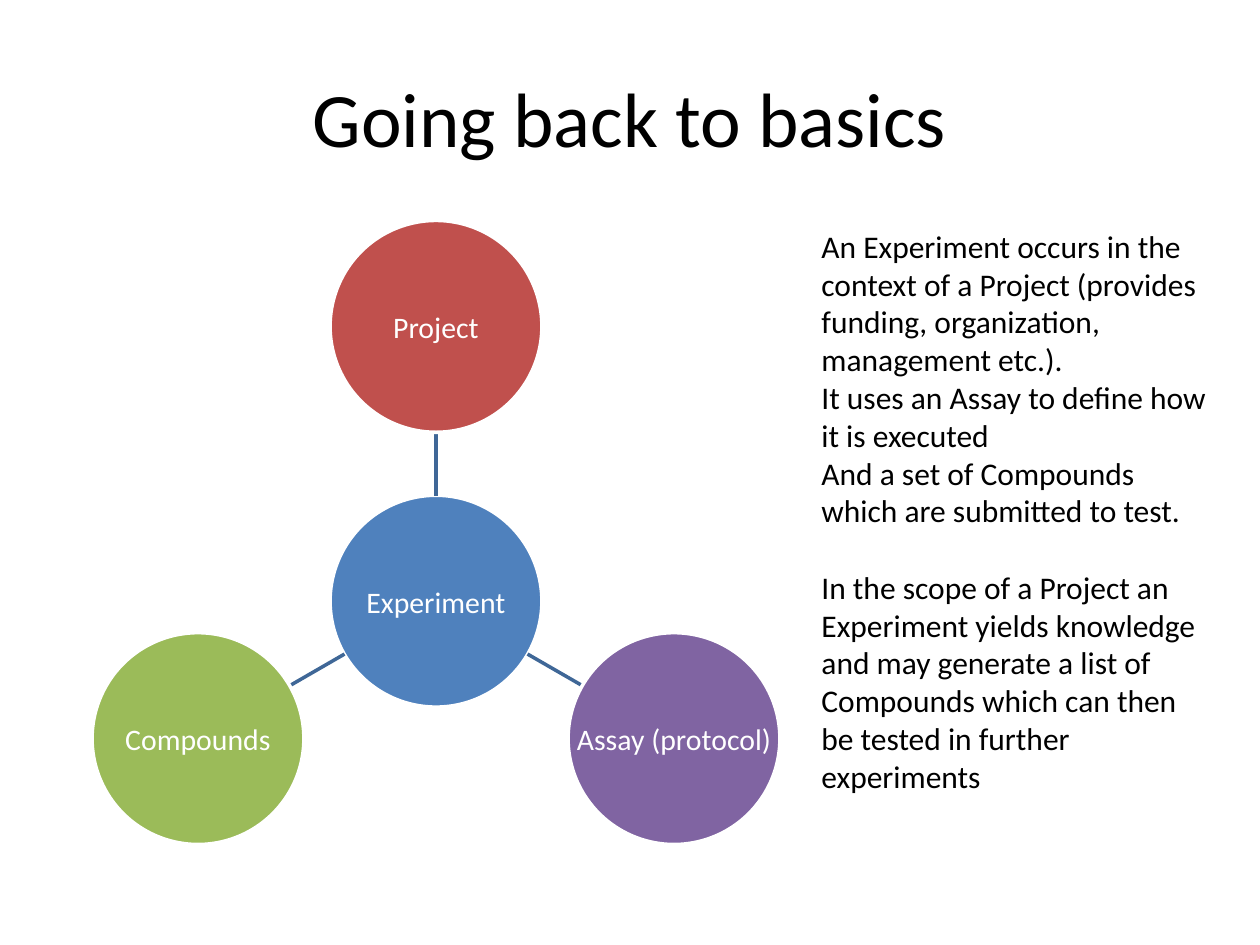
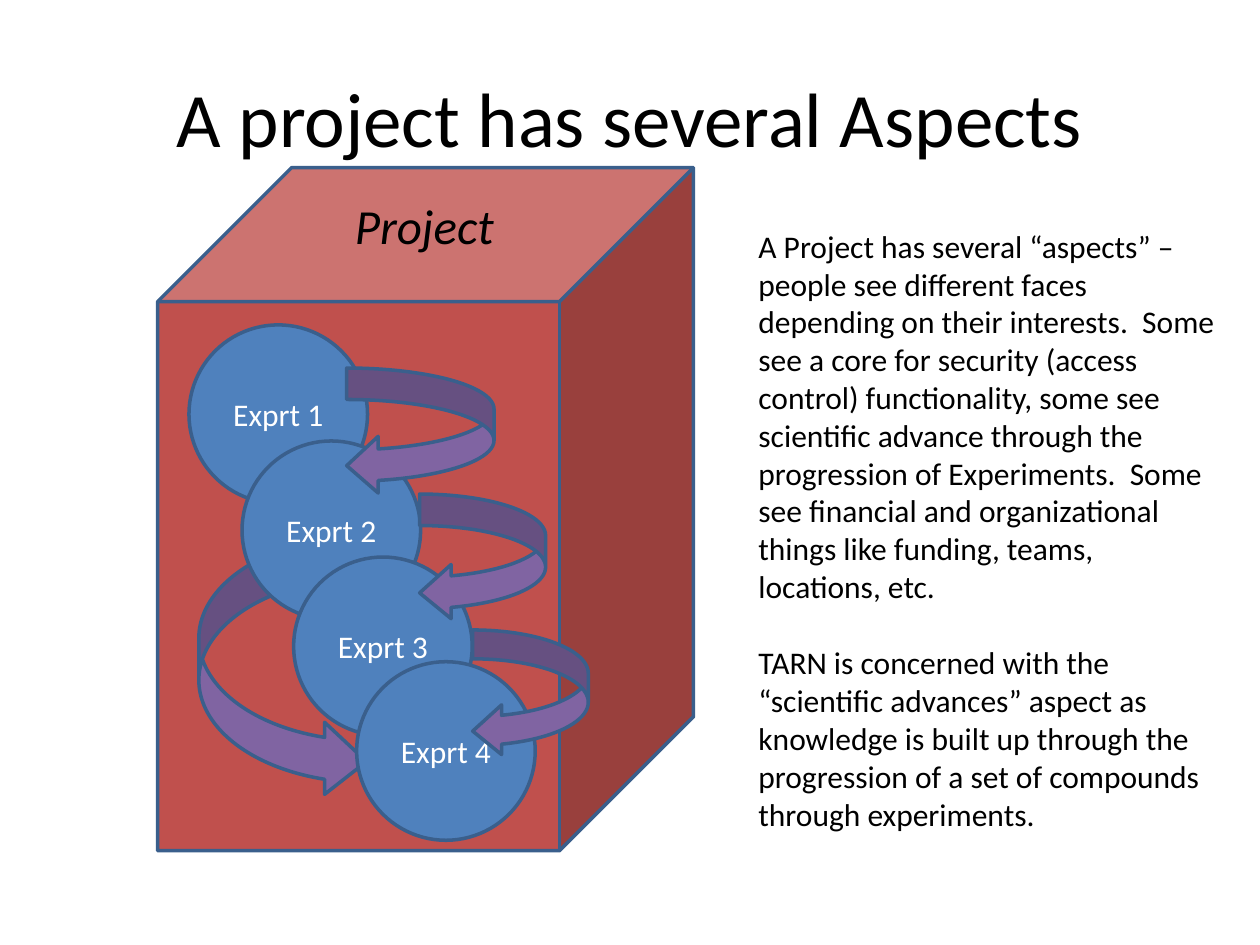
"""Build two slides on how projects, experiments, assays and compounds relate."""
from dataclasses import dataclass
from math import cos, radians, sin

from lxml import etree
from pptx import Presentation, util as u
from pptx.dml.color import RGBColor
from pptx.enum import shapes, text
from pptx.oxml.ns import qn


@dataclass(frozen=True)
class Theme:
    font: str = "Calibri"
    black: str = "000000"
    white: str = "FFFFFF"
    blue: str = "4F81BD"
    red: str = "C0504D"
    green: str = "9BBB59"
    purple: str = "8064A2"
    outline: str = "3A5F8C"
    spoke: str = "3F6797"
    title_size: int = 44
    label_size: int = 28
    body_size: int = 18
    hub_size: int = 17
    line_width: int = 2
    section_gap: int = 22


THEME = Theme()
CENTER, LEFT = text.PP_ALIGN.CENTER, text.PP_ALIGN.LEFT
KIND = shapes.MSO_SHAPE
TITLE_BOX = (1.27, 0.76, 22.86, 3.18)

BASICS_TITLE = "Going back to basics"
BASICS_NOTES = [
    ["An Experiment occurs in the context of a Project (provides funding, organization, management etc.).",
     "It uses an Assay to define how it is executed",
     "And a set of Compounds which are submitted to test."],
    ["In the scope of a Project an Experiment yields knowledge and may generate a list of Compounds "
     "which can then be tested in further experiments"],
]
BASICS_NOTES_BOX = (16.31, 4.45, 8.26, 11.79)
HUB = ("Experiment", THEME.blue)
SATELLITES = [
    ("Project", THEME.red, 90),
    ("Assay (protocol)", THEME.purple, -30),
    ("Compounds", THEME.green, 210),
]
HUB_CENTER = (8.79, 12.12)
HUB_DIAMETER = 4.27
ORBIT = 5.54
SPOKE_START, SPOKE_END = 2.13, 3.4

ASPECTS_TITLE = "A project has several Aspects"
ASPECTS_NOTES = [
    ["A Project has several “aspects” – people see different faces depending on their interests.  "
     "Some see a core for security (access control) functionality, some see scientific advance through "
     "the progression of Experiments.  Some see financial and organizational things like funding, "
     "teams, locations, etc."],
    ["TARN is concerned with the “scientific advances” aspect as knowledge is built up through the "
     "progression of a set of compounds through experiments."],
]
ASPECTS_NOTES_BOX = (15.04, 4.45, 9.73, 12.57)
PROJECT_BOX = (3.18, 3.38, 10.8, 13.77)
PROJECT_LABEL_BOX = (5.28, 3.81, 6.55, 1.45)
EXPERIMENT_DIAMETER = 3.6
EXPERIMENTS = [
    ("Exprt 1", 3.81, 6.55),
    ("Exprt 2", 4.88, 8.89),
    ("Exprt 3", 5.92, 11.23),
    ("Exprt 4", 7.19, 13.34),
]
SKIP_ARROW = ((4.01, 10.8, 3.38, 5.28), 0.43)
STEP_ARROWS = [
    ((6.99, 7.42, 2.97, 2.54), 0.45),
    ((8.46, 9.96, 2.54, 2.54), 0.43),
    ((9.53, 12.7, 2.33, 2.54), 0.43),
]


def lengths(values):
    return [u.Cm(value) for value in values]


def style_paragraph(paragraph, size, color, align):
    paragraph.alignment = align
    paragraph.font.name = THEME.font
    paragraph.font.size = u.Pt(size)
    paragraph.font.color.rgb = RGBColor.from_string(color)


def add_text(slide, box, sections, size, align=LEFT, anchor=text.MSO_ANCHOR.TOP):
    frame = slide.shapes.add_textbox(*lengths(box)).text_frame
    frame.word_wrap = True
    frame.vertical_anchor = anchor
    frame.text = "\n".join(line for section in sections for line in section)
    for paragraph in frame.paragraphs:
        style_paragraph(paragraph, size, THEME.black, align)
    start = 0
    for section in sections[:-1]:
        start += len(section)
        frame.paragraphs[start].space_before = u.Pt(THEME.section_gap)
    return frame


def add_title(slide, title):
    add_text(slide, TITLE_BOX, [[title]], THEME.title_size, CENTER, text.MSO_ANCHOR.MIDDLE)


def add_figure(slide, kind, box, fill, outline=THEME.outline):
    shape = slide.shapes.add_shape(kind, *lengths(box))
    shape.shadow.inherit = False
    shape.fill.solid()
    shape.fill.fore_color.rgb = RGBColor.from_string(fill)
    shape.line.color.rgb = RGBColor.from_string(outline)
    shape.line.width = u.Pt(THEME.line_width)
    return shape


def add_circle(slide, label, left, top, diameter, fill, outline, size):
    shape = add_figure(slide, KIND.OVAL, (left, top, diameter, diameter), fill, outline)
    frame = shape.text_frame
    frame.word_wrap = False
    frame.vertical_anchor = text.MSO_ANCHOR.MIDDLE
    frame.text = label
    style_paragraph(frame.paragraphs[0], size, THEME.white, CENTER)


def add_arrow(slide, box, head_width, mirrored=False):
    arrow = add_figure(slide, KIND.CURVED_LEFT_ARROW, box, THEME.purple)
    for index, value in enumerate((0.25, head_width, 0.25)):
        arrow.adjustments[index] = value
    if mirrored:
        arrow._element.spPr.find(qn("a:xfrm")).set("flipH", "1")


def around_hub(angle, distance):
    turn = radians(angle)
    return HUB_CENTER[0] + distance * cos(turn), HUB_CENTER[1] - distance * sin(turn)


def add_hub_circle(slide, label, fill, center):
    left, top = (value - HUB_DIAMETER / 2 for value in center)
    add_circle(slide, label, left, top, HUB_DIAMETER, fill, THEME.white, THEME.hub_size)


def add_spoke(slide, angle):
    ends = around_hub(angle, SPOKE_START) + around_hub(angle, SPOKE_END)
    spoke = slide.shapes.add_connector(shapes.MSO_CONNECTOR.STRAIGHT, *lengths(ends))
    spoke.line.color.rgb = RGBColor.from_string(THEME.spoke)
    spoke.line.width = u.Pt(THEME.line_width)
    etree.SubElement(spoke._element.spPr, qn("a:effectLst"))


def build_basics(slide):
    add_title(slide, BASICS_TITLE)
    add_hub_circle(slide, *HUB, HUB_CENTER)
    for label, fill, angle in SATELLITES:
        add_spoke(slide, angle)
        add_hub_circle(slide, label, fill, around_hub(angle, ORBIT))
    add_text(slide, BASICS_NOTES_BOX, BASICS_NOTES, THEME.body_size)


def build_aspects(slide):
    add_figure(slide, KIND.CUBE, PROJECT_BOX, THEME.red)
    add_arrow(slide, *SKIP_ARROW, mirrored=True)
    add_title(slide, ASPECTS_TITLE)
    add_text(slide, ASPECTS_NOTES_BOX, ASPECTS_NOTES, THEME.body_size)
    label = add_text(slide, PROJECT_LABEL_BOX, [["Project"]], THEME.label_size, CENTER)
    label.paragraphs[0].font.italic = True
    for name, left, top in EXPERIMENTS:
        add_circle(slide, name, left, top, EXPERIMENT_DIAMETER, THEME.blue, THEME.outline, THEME.body_size)
    for box, head_width in STEP_ARROWS:
        add_arrow(slide, box, head_width)


def main():
    presentation = Presentation()
    presentation.slide_width, presentation.slide_height = lengths((25.4, 19.05))
    for build in (build_basics, build_aspects):
        build(presentation.slides.add_slide(presentation.slide_layouts[6]))
    presentation.save("out.pptx")


if __name__ == "__main__":
    main()
